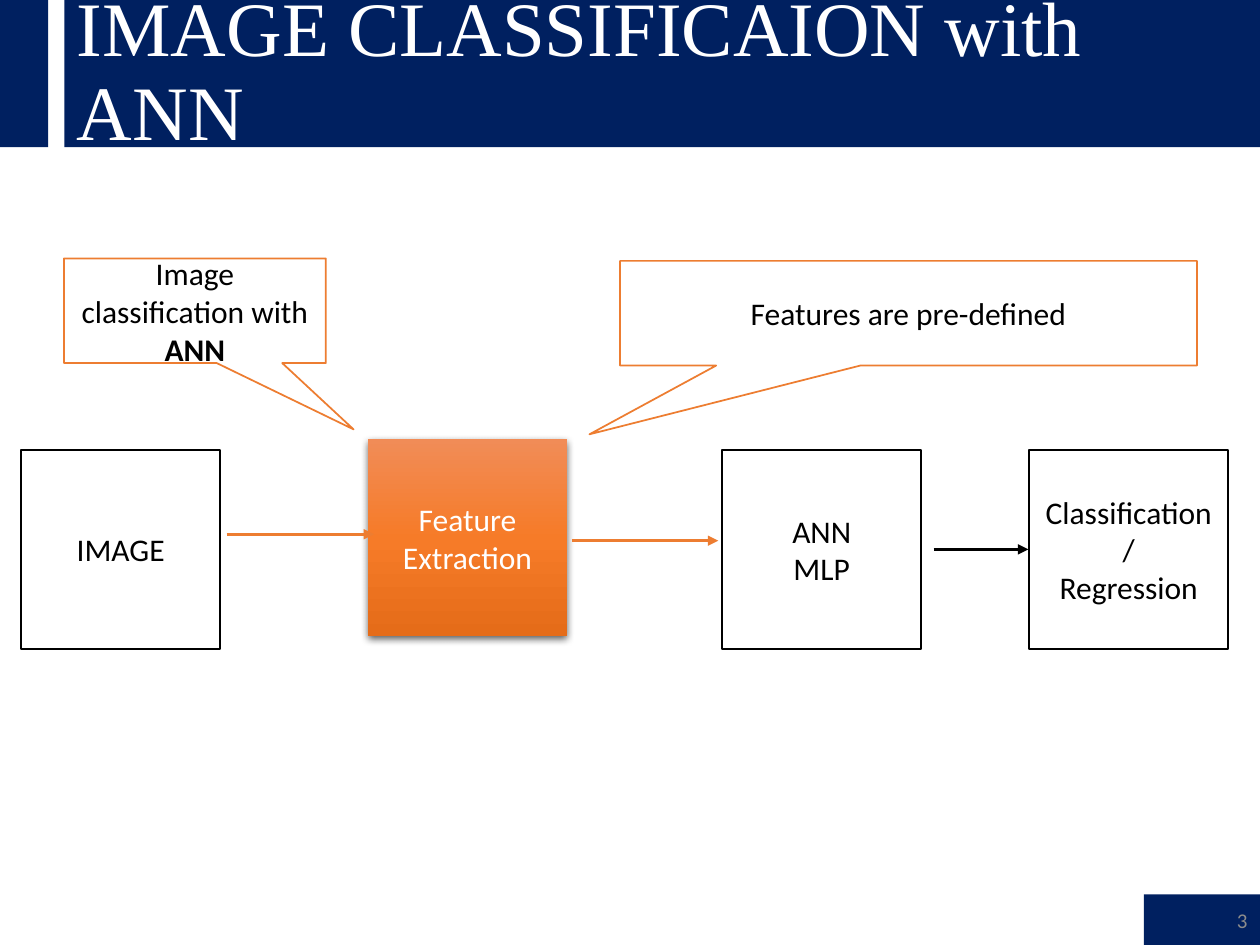
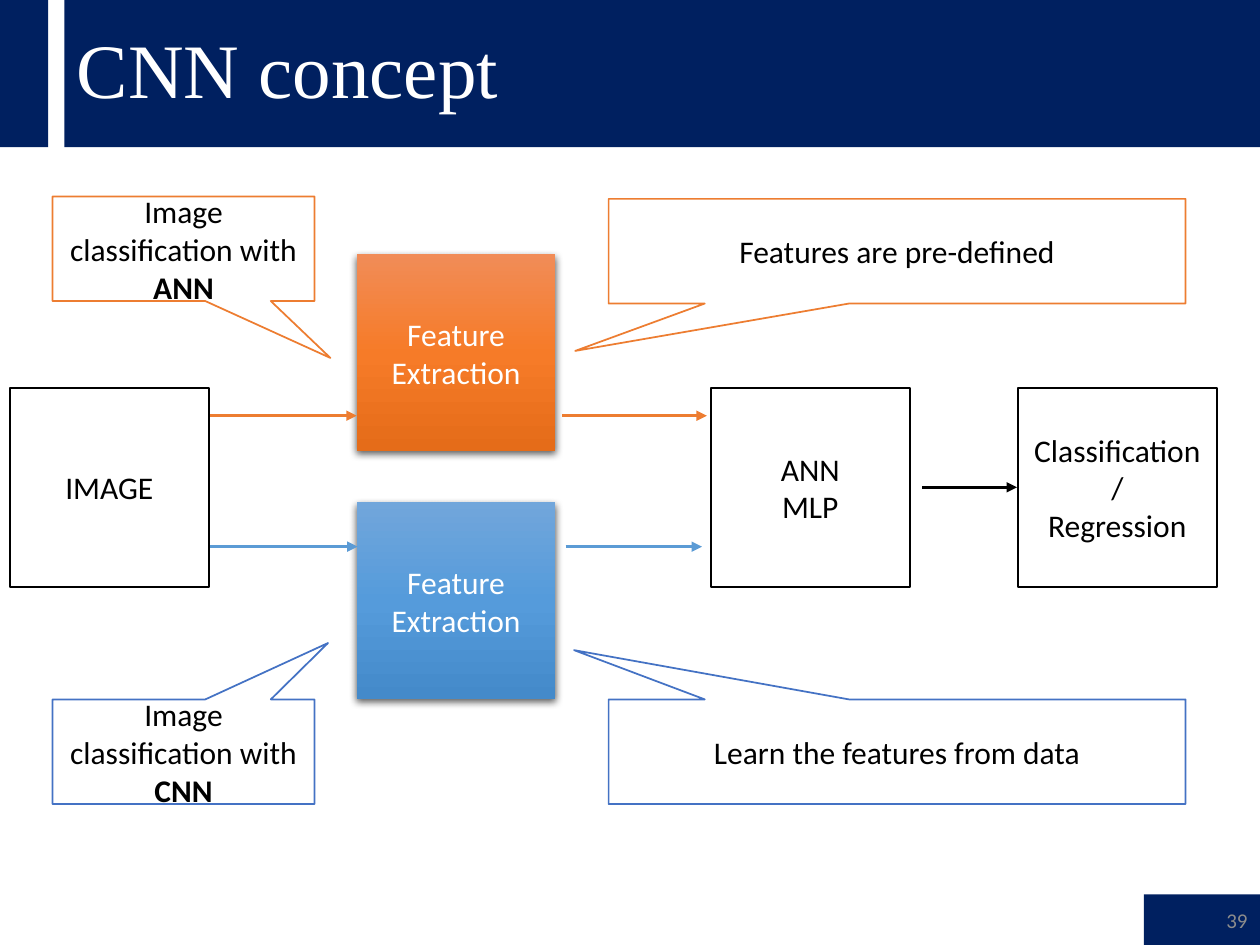
from copy import deepcopy
from dataclasses import dataclass

from lxml.etree import SubElement
from pptx import Presentation
from pptx.dml.color import RGBColor
from pptx.enum.shapes import MSO_CONNECTOR, MSO_SHAPE as SHAPE
from pptx.enum.text import MSO_ANCHOR, PP_ALIGN as ALIGN
from pptx.oxml.ns import qn
from pptx.util import Cm, Pt


@dataclass(frozen=True)
class Theme:
    navy: str = "002060"
    white: str = "FFFFFF"
    black: str = "000000"
    gray: str = "8C8C8C"
    orange: str = "ED7D31"
    blue: str = "5B9BD5"
    blue_outline: str = "4472C4"
    orange_gradient: tuple = ("F18C57", "F67B28", "E56C19")
    blue_gradient: tuple = ("71A6DB", "559BDB", "448ACA")
    title_font: str = "Times New Roman"
    body_font: str = "Calibri"
    title_size: int = 44
    body_size: int = 18
    number_size: int = 12


T = Theme()
rgb = RGBColor.from_string


def add_box(s, text, x, y, w, h, *, shape=SHAPE.RECTANGLE, tip=None, fill=T.white,
            line=None, font=T.body_font, size=T.body_size, color=T.black,
            align=ALIGN.CENTER, spacing=None, bold_tail=""):
    """Add a filled shape with text; a tuple as fill is a raised vertical gradient."""
    sp = s.shapes.add_shape(shape, Cm(x), Cm(y), Cm(w), Cm(h))
    sp.shadow.inherit = False
    if tip:
        sp.adjustments[0], sp.adjustments[1] = tip
    if line:
        sp.line.color.rgb = rgb(line)
        sp.line.width = Pt(1)
    else:
        sp.line.fill.background()

    if isinstance(fill, tuple):
        sp.fill.gradient()
        sp.fill.gradient_angle = 270
        stops = sp._element.spPr.find(".//" + qn("a:gsLst"))
        stops.insert(1, deepcopy(stops[0]))
        for i, (stop, shade) in enumerate(zip(sp.fill.gradient_stops, fill)):
            stop.position = i / 2
            stop.color.rgb = rgb(shade)
        effects = sp._element.spPr.find(qn("a:effectLst"))
        shadow = SubElement(effects, qn("a:outerShdw"), blurRad=str(Pt(4.5)),
                            dist=str(Pt(1.5)), dir="5400000", algn="ctr", rotWithShape="0")
        shade = SubElement(shadow, qn("a:srgbClr"), val=T.black)
        SubElement(shade, qn("a:alpha"), val="63000")
    else:
        sp.fill.solid()
        sp.fill.fore_color.rgb = rgb(fill)

    tf = sp.text_frame
    tf.word_wrap = True
    tf.vertical_anchor = MSO_ANCHOR.MIDDLE
    for i, content in enumerate(text.split("\n")):
        p = tf.add_paragraph() if i else tf.paragraphs[0]
        p.alignment = align
        if spacing:
            p.line_spacing = spacing
        p.add_run().text = content
    if bold_tail:
        r = p.add_run()
        r.text = bold_tail
        r.font.bold = True
    for p in tf.paragraphs:
        for r in p.runs:
            r.font.name = font
            r.font.size = Pt(size)
            r.font.color.rgb = rgb(color)


def add_arrow(s, x1, x2, y, color):
    line = s.shapes.add_connector(MSO_CONNECTOR.STRAIGHT, Cm(x1), Cm(y), Cm(x2), Cm(y))
    line.line.color.rgb = rgb(color)
    line.line.width = Pt(1.5)
    sppr = line._element.spPr
    SubElement(sppr.find(qn("a:ln")), qn("a:tailEnd"), type="triangle")
    SubElement(sppr, qn("a:effectLst"))


SIDE = 4.01
FEATURE_H = 3.96
CALLOUT_H = 2.11
STAGES = [("IMAGE", 0.2), ("ANN\nMLP", 14.33), ("Classification/\nRegression", 20.52)]

# Each branch: arrows are (start, end, y); callouts are (y, tip).
SLIDES = [
    dict(title="IMAGE CLASSIFICAION with ANN", number=3, shift=0.23, row_y=9.07,
         branches=[
             dict(method="ANN", note="Features are pre-defined",
                  gradient=T.orange_gradient, arrow=T.orange, outline=T.orange,
                  feature_y=8.86, arrows=[(4.57, 7.54, 10.77), (11.53, 14.48, 10.9)],
                  method_callout=(5.21, (0.606, 1.134)),
                  note_callout=(5.26, (-0.553, 1.157))),
         ]),
    dict(title="CNN concept", number=39, shift=0, row_y=7.82,
         branches=[
             dict(method="ANN", note="Features are pre-defined",
                  gradient=T.orange_gradient, arrow=T.orange, outline=T.orange,
                  feature_y=5.13, arrows=[(4.24, 7.19, 8.38), (11.33, 14.25, 8.38)],
                  method_callout=(3.96, (0.561, 1.044)),
                  note_callout=(4.01, (-0.558, 0.953))),
             dict(method="CNN", note="Learn the features from data",
                  gradient=T.blue_gradient, arrow=T.blue, outline=T.blue_outline,
                  feature_y=10.13, arrows=[(4.24, 7.21, 11.02), (11.4, 14.15, 11.02)],
                  method_callout=(14.1, (0.552, -1.039)),
                  note_callout=(14.1, (-0.56, -0.971))),
         ]),
]

prs = Presentation()
prs.slide_width, prs.slide_height = Cm(25.4), Cm(19.05)

for page in SLIDES:
    s = prs.slides.add_slide(prs.slide_layouts[6])
    shift, row_y = page["shift"], page["row_y"]

    add_box(s, "", 0, 0, 0.97, 2.97, fill=T.navy)
    add_box(s, page["title"], 1.3, 0, 24.1, 2.97, fill=T.navy, font=T.title_font,
            size=T.title_size, color=T.white, align=ALIGN.LEFT, spacing=0.9)
    add_box(s, str(page["number"]), 23.06, 18.03, 2.34, 1.02, fill=T.navy,
            size=T.number_size, color=T.gray, align=ALIGN.RIGHT)

    for label, x in STAGES:
        add_box(s, label, x + shift, row_y, SIDE, SIDE, line=T.black)
    add_arrow(s, 18.59 + shift, 20.5 + shift, row_y + SIDE / 2, T.black)

    for branch in page["branches"]:
        add_box(s, "Feature Extraction", 7.19 + shift, branch["feature_y"], SIDE,
                FEATURE_H, fill=branch["gradient"], color=T.white)
        for x1, x2, y in branch["arrows"]:
            add_arrow(s, x1, x2, y, branch["arrow"])

        callout = dict(shape=SHAPE.RECTANGULAR_CALLOUT, line=branch["outline"])
        y, tip = branch["note_callout"]
        add_box(s, branch["note"], 12.27 + shift, y, 11.63, CALLOUT_H, tip=tip, **callout)
        y, tip = branch["method_callout"]
        add_box(s, "Image classification with ", 1.06 + shift, y, 5.28, CALLOUT_H,
                tip=tip, bold_tail=branch["method"], **callout)

prs.save("out.pptx")
